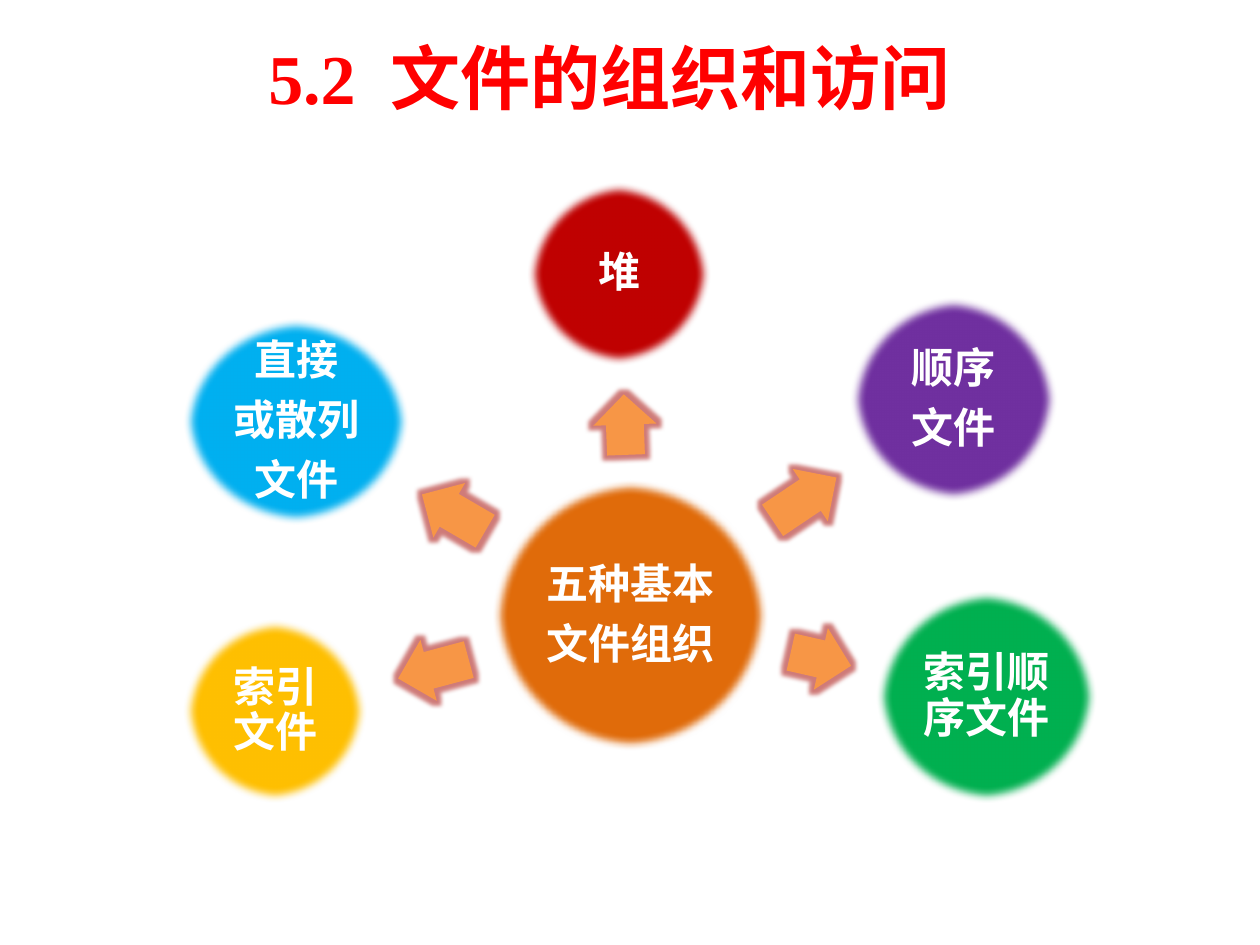
from lxml.etree import SubElement
from pptx import Presentation
from pptx.dml.color import RGBColor
from pptx.enum.shapes import MSO_SHAPE
from pptx.enum.text import MSO_ANCHOR, PP_ALIGN
from pptx.oxml.ns import qn
from pptx.util import Inches, Pt

COLORS = {
    "title": "FF0000",
    "text": "FFFFFF",
    "arrow": "F79646",
    "glow": "C0504D",
    "center": "E06B0A",
    "heap": "C00000",
    "sequential": "7030A0",
    "indexed_sequential": "00B050",
    "indexed": "FFC000",
    "hashed": "00B0F0",
}

# colour name, left, top, width, height, paragraphs
CIRCLES = [
    ("center", 3.91, 3.81, 2.19, 2.15, ["五种基本", "文件组织"]),
    ("heap", 4.18, 1.44, 1.47, 1.47, ["堆"]),
    ("sequential", 6.74, 2.35, 1.65, 1.64, ["顺序", "文件"]),
    ("indexed_sequential", 6.95, 4.68, 1.76, 1.7, ["索引顺序文件"]),
    ("indexed", 1.45, 4.91, 1.47, 1.47, ["索引文件"]),
    ("hashed", 1.45, 2.52, 1.8, 1.65, ["直接", "或散列", "文件"]),
]

# left, top, width, rotation
ARROWS = [
    (4.72, 3.12, 0.48, 267.9),
    (6.08, 3.71, 0.61, 326.1),
    (6.27, 4.98, 0.49, 12.8),
    (3.15, 5.06, 0.58, 165),
    (3.31, 3.82, 0.58, 210.2),
]
ARROW_HEIGHT = 0.5
EFFECT_RADIUS = Pt(5)


def color(name):
    return RGBColor.from_string(COLORS[name])


def add_effect(shape, tag):
    """Replace the theme shadow with a single effect and return it."""
    shape.shadow.inherit = False
    effects = shape._element.spPr.find(qn("a:effectLst"))
    return SubElement(effects, qn(tag), rad=str(EFFECT_RADIUS))


def add_filled_shape(page, kind, left, top, width, height, fill):
    shape = page.shapes.add_shape(
        kind, Inches(left), Inches(top), Inches(width), Inches(height))
    shape.fill.solid()
    shape.fill.fore_color.rgb = color(fill)
    shape.line.fill.background()
    return shape


def add_title(page):
    box = page.shapes.add_textbox(
        Inches(0.92), Inches(0.3), Inches(7.83), Inches(0.62))
    frame = box.text_frame
    frame.word_wrap = True
    frame.vertical_anchor = MSO_ANCHOR.MIDDLE
    para = frame.paragraphs[0]
    para.alignment = PP_ALIGN.CENTER
    para.font.name = "Times New Roman"
    para.font.size = Pt(40)
    para.font.bold = True
    para.font.color.rgb = color("title")
    for text, spacing in (("5.2", 0), (" ", 1000), ("文件的组织和访问", 0)):
        span = para.add_run()
        span.text = text
        if spacing:
            span.font._element.set("spc", str(spacing))


def add_circle(page, fill, left, top, width, height, lines):
    circle = add_filled_shape(
        page, MSO_SHAPE.OVAL, left, top, width, height, fill)
    add_effect(circle, "a:softEdge")
    frame = circle.text_frame
    frame.word_wrap = True
    frame.vertical_anchor = MSO_ANCHOR.MIDDLE
    frame.margin_left = frame.margin_right = Inches(0.03)
    frame.margin_top = frame.margin_bottom = Inches(0.03)
    for index, line in enumerate(lines):
        para = frame.add_paragraph() if index else frame.paragraphs[0]
        para.text = line
        para.alignment = PP_ALIGN.CENTER
        para.line_spacing = 0.9
        para.space_after = Pt(8.4)
        para.font.name = "Calibri"
        para.font.size = Pt(24)
        para.font.bold = True
        para.font.color.rgb = color("text")


def add_arrow(page, left, top, width, rotation):
    arrow = add_filled_shape(
        page, MSO_SHAPE.RIGHT_ARROW, left, top, width, ARROW_HEIGHT, "arrow")
    arrow.adjustments[0] = 0.6
    arrow.adjustments[1] = 0.5
    arrow.rotation = rotation
    glow = add_effect(arrow, "a:glow")
    tint = SubElement(glow, qn("a:srgbClr"), val=COLORS["glow"])
    SubElement(tint, qn("a:alpha"), val="75000")


def main():
    deck = Presentation()
    deck.slide_width = Inches(10)
    deck.slide_height = Inches(7.5)
    page = deck.slides.add_slide(deck.slide_layouts[6])
    add_title(page)
    for circle in CIRCLES:
        add_circle(page, *circle)
    for arrow in ARROWS:
        add_arrow(page, *arrow)
    deck.save("out.pptx")


if __name__ == "__main__":
    main()
